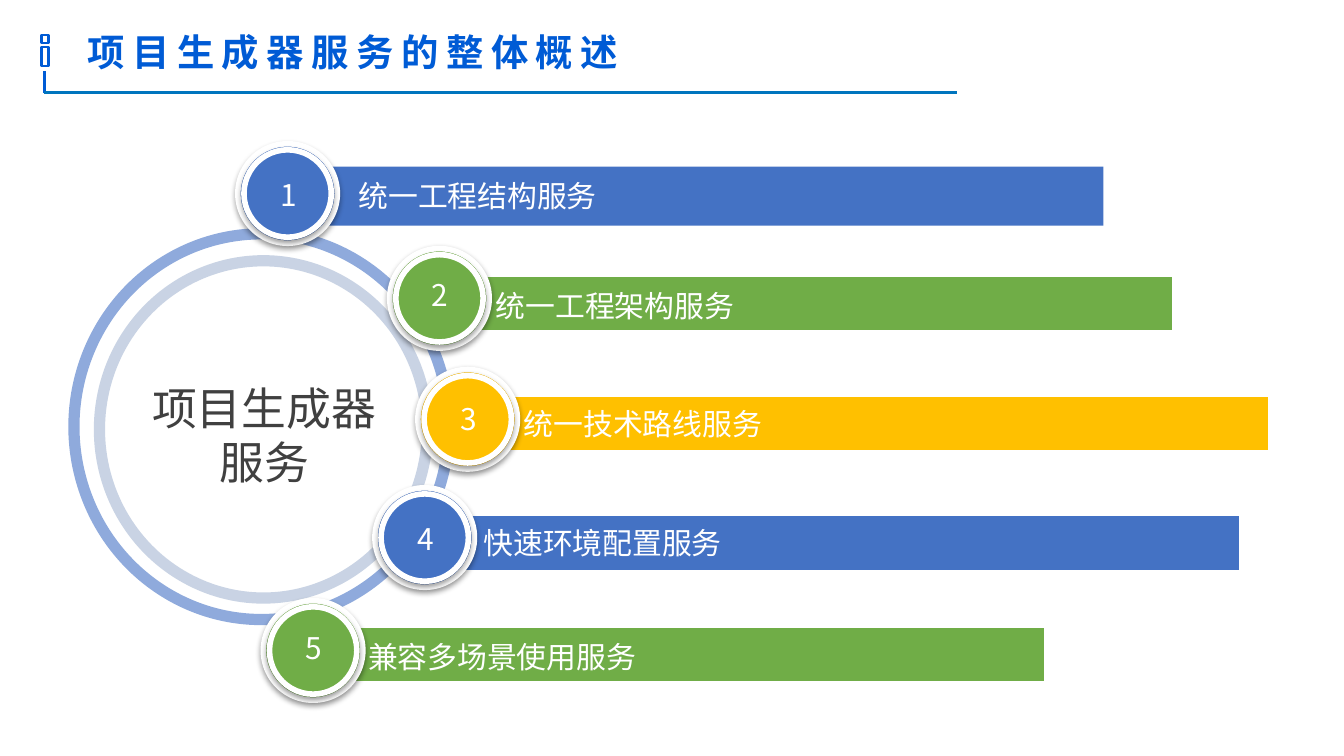
from lxml import etree
from pptx import Presentation
from pptx.dml.color import RGBColor
from pptx.enum.shapes import MSO_CONNECTOR, MSO_SHAPE
from pptx.enum.text import MSO_ANCHOR, PP_ALIGN
from pptx.oxml.ns import qn
from pptx.util import Inches, Pt

RECTANGLE, ELLIPSE = MSO_SHAPE.RECTANGLE, MSO_SHAPE.OVAL
STRAIGHT = MSO_CONNECTOR.STRAIGHT
MIDDLE = MSO_ANCHOR.MIDDLE
LEFT, CENTER = PP_ALIGN.LEFT, PP_ALIGN.CENTER

WHITE = RGBColor(0xFF, 0xFF, 0xFF)
BLACK = RGBColor(0x00, 0x00, 0x00)
GRAY = RGBColor(0x40, 0x40, 0x40)
TITLE_BLUE = RGBColor(0x00, 0x5B, 0xD5)
TITLE_ACCENT = RGBColor(0x00, 0x5C, 0xD6)
RULE_BLUE = RGBColor(0x00, 0x75, 0xBE)
RING_BLUE = RGBColor(0x8F, 0xAA, 0xDC)
DARK_BLUE = RGBColor(0x2F, 0x55, 0x97)
BLUE = RGBColor(0x44, 0x72, 0xC4)
GREEN = RGBColor(0x70, 0xAD, 0x47)
YELLOW = RGBColor(0xFF, 0xC0, 0x00)

FONT = "Noto Sans CJK SC"
COLUMNS, ROWS = 100, 56.25
TITLE_ONLY = 5
BADGE, BADGE_CORE = 7.4, 6.5
LABEL_HEIGHT = 3.7


class ServiceSlide:
    def __init__(self, presentation):
        self.column = presentation.slide_width / COLUMNS
        self.row = presentation.slide_height / ROWS
        layout = presentation.slide_layouts[TITLE_ONLY]
        self.slide = presentation.slides.add_slide(layout)
        self.shapes = self.slide.shapes

    def place(self, left, top, width, height):
        return (round(left * self.column), round(top * self.row),
                round(width * self.column), round(height * self.row))

    def set_opacity(self, parent, percent):
        color = parent.find(".//" + qn("a:srgbClr"))
        etree.SubElement(color, qn("a:alpha"), val=str(percent * 1000))

    def add_run(self, paragraph, text, size, color, bold=False, spacing=0):
        run = paragraph.add_run()
        run.text = text
        run.font.name = FONT
        run.font.size = Pt(size)
        run.font.bold = bold
        run.font.color.rgb = color
        properties = run._r.get_or_add_rPr()
        etree.SubElement(properties, qn("a:ea"), typeface=FONT)
        if spacing:
            properties.set("spc", str(spacing * 100))

    def prepare_frame(self, shape, alignment):
        frame = shape.text_frame
        frame.word_wrap = True
        frame.vertical_anchor = MIDDLE
        paragraph = frame.paragraphs[0]
        paragraph.alignment = alignment
        return paragraph

    def title(self, box, pieces):
        shape = self.shapes.title
        shape.left, shape.top, shape.width, shape.height = self.place(*box)
        paragraph = self.prepare_frame(shape, LEFT)
        paragraph.line_spacing = 1.3
        paragraph.space_before = Pt(0)
        for text, color in pieces:
            self.add_run(paragraph, text, 20, color, bold=True, spacing=4)

    def text(self, box, text, size=16, color=WHITE, alignment=LEFT):
        shape = self.shapes.add_textbox(*self.place(*box))
        paragraph = self.prepare_frame(shape, alignment)
        self.add_run(paragraph, text, size, color)

    def shape(self, kind, box, fill=None, line=None, width=3, opacity=100,
              parent=None):
        shape = (parent or self.slide).shapes.add_shape(kind, *self.place(*box))
        shape.shadow.inherit = False
        if fill is None:
            shape.fill.background()
        else:
            shape.fill.solid()
            shape.fill.fore_color.rgb = fill
        if line is None:
            shape.line.fill.background()
        else:
            shape.line.color.rgb = line
            shape.line.width = Pt(width)
        if opacity < 100:
            properties = shape._element.spPr
            self.set_opacity(properties.find(qn("a:solidFill")), opacity)
            self.set_opacity(properties.find(qn("a:ln")), opacity)
        return shape

    def line(self, start, end, color):
        points = self.place(*start, *end)
        connector = self.shapes.add_connector(STRAIGHT, *points)
        connector.line.color.rgb = color
        connector.line.width = Pt(1.5)
        etree.SubElement(connector._element.spPr, qn("a:effectLst"))

    def marker(self, left, right, spans):
        builder = None
        for top, bottom in spans:
            x1, y1, x2, y2 = self.place(left, top, right, bottom)
            if builder is None:
                builder = self.shapes.build_freeform(x1, y1)
            else:
                builder.move_to(x1, y1)
            builder.add_line_segments([(x2, y1), (x2, y2), (x1, y2)])
        shape = builder.convert_to_shape()
        shape.shadow.inherit = False
        shape.fill.background()
        shape.line.color.rgb = TITLE_BLUE
        shape.line.width = Pt(1.25)

    def add_shadow(self, shape):
        effects = shape._element.spPr.find(qn("a:effectLst"))
        shadow = etree.SubElement(
            effects, qn("a:outerShdw"), blurRad=str(Pt(3.1)), dist=str(Pt(1.6)),
            dir="5400000", rotWithShape="0")
        etree.SubElement(shadow, qn("a:srgbClr"), val=str(BLACK))
        self.set_opacity(shadow, 38)

    def badge(self, left, top, color):
        group = self.shapes.add_group_shape()
        for size in (BADGE, BADGE_CORE):
            inset = (BADGE - size) / 2
            box = (left + inset, top + inset, size, size)
            self.add_shadow(self.shape(ELLIPSE, box, color, WHITE, parent=group))

    def service(self, number, name, color, badge, bar, label, number_top, edge):
        self.shape(RECTANGLE, (*bar, 4.4), color, edge)
        self.badge(*badge, color)
        self.text((*label, LABEL_HEIGHT), name)
        self.text((badge[0] + 0.7, number_top, 6.1, LABEL_HEIGHT), str(number),
                  alignment=CENTER)


def main():
    presentation = Presentation()
    presentation.slide_width = Inches(10)
    presentation.slide_height = presentation.slide_width * 9 // 16
    page = ServiceSlide(presentation)

    page.marker(3.1, 3.6, [(2.6, 3.2), (3.5, 4.9)])
    page.line((3.3, 6.9), (3.3, 5.3), TITLE_BLUE)
    page.line((3.3, 6.9), (71.2, 6.9), RULE_BLUE)
    page.title((5.5, 0.4, 62, 5.8), [
        ("项目生成器服务", TITLE_BLUE), ("的", TITLE_ACCENT), ("整体概述", TITLE_BLUE)])

    page.shape(ELLIPSE, (5.5, 17.4, 27.9, 28.7), line=RING_BLUE, width=6)
    page.shape(ELLIPSE, (7.4, 19.4, 24.4, 25.1), WHITE, DARK_BLUE, 6, opacity=25)
    page.text((10.2, 27.8, 18.9, 9.1), "项目生成器服务", 24, GRAY, CENTER)

    services = [
        ("统一工程结构服务", BLUE, (17.7, 10.7), (23.2, 12.4, 58.9),
         (25.7, 12.7, 52.9), 12.6, None),
        ("统一工程架构服务", GREEN, (29, 18.5), (34.1, 20.4, 53.3),
         (35.9, 20.9, 51.5), 20.1, WHITE),
        ("统一技术路线服务", YELLOW, (31.1, 27.5), (36.6, 29.3, 58),
         (38, 29.7, 56.3), 29.3, WHITE),
        ("快速环境配置服务", BLUE, (27.9, 36.3), (33.4, 38.2, 59),
         (35, 38.5, 56.2), 38.2, WHITE),
        ("兼容多场景使用服务", GREEN, (19.6, 44.7), (24.6, 46.5, 53.3),
         (26.4, 47, 51.5), 46.3, WHITE),
    ]
    for number, service in enumerate(services, 1):
        page.service(number, *service)

    presentation.save("out.pptx")


if __name__ == "__main__":
    main()
